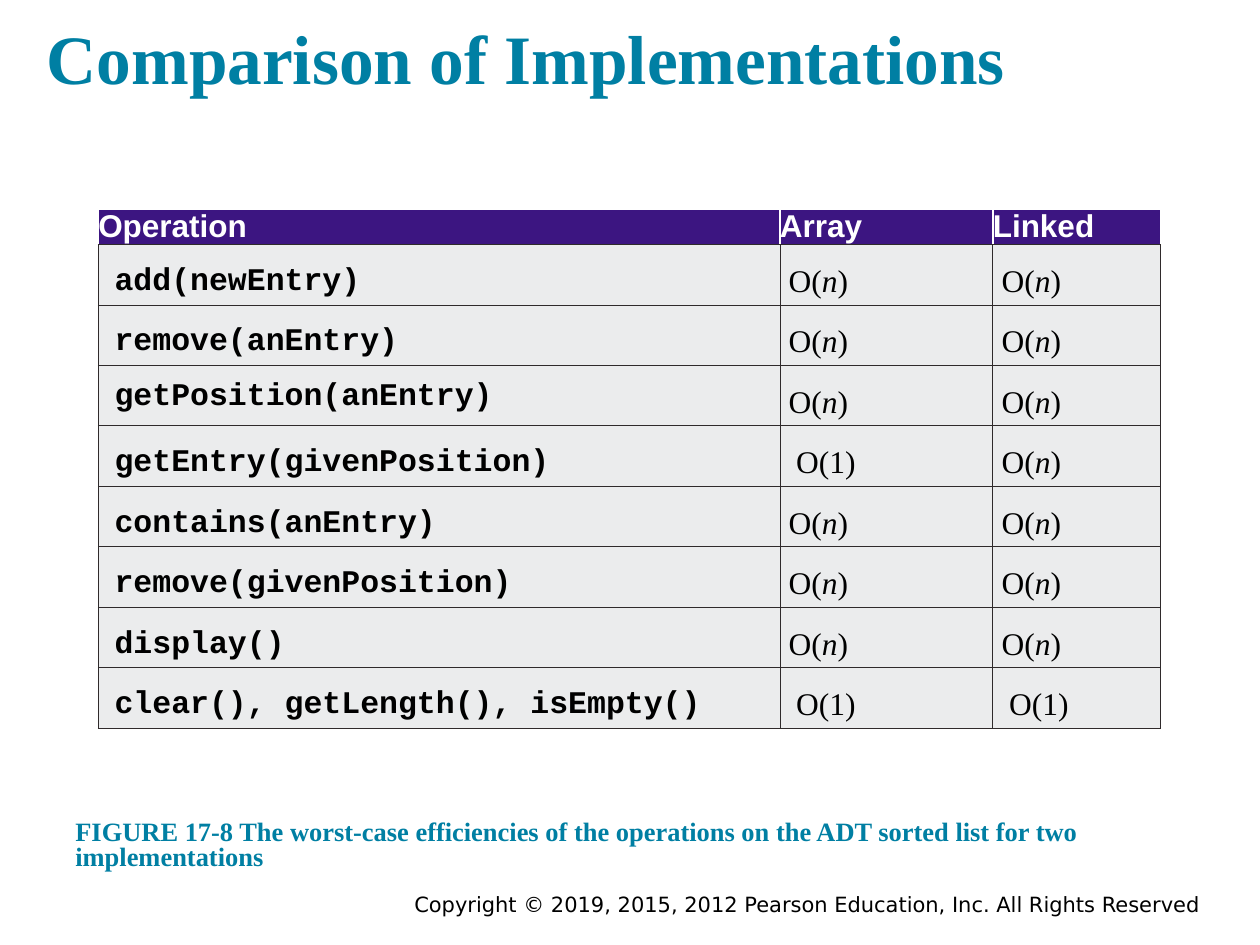
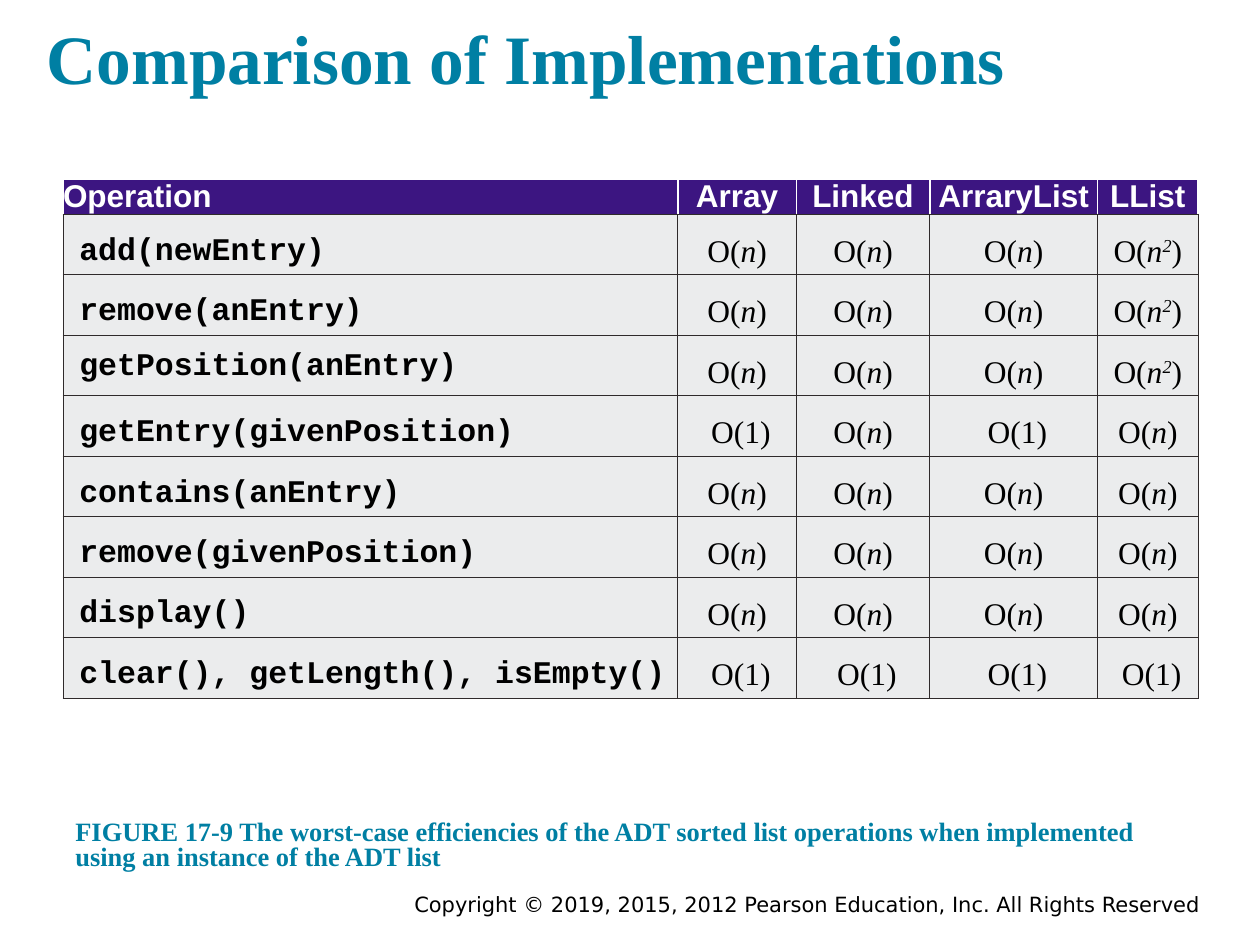
import pptx
import pptx.dml.color
import pptx.enum.text
import pptx.oxml
import pptx.oxml.ns
import pptx.util

Inches = pptx.util.Inches
Align = pptx.enum.text.PP_ALIGN
Anchor = pptx.enum.text.MSO_ANCHOR


class Theme:
    """Hold the colours and type styles that the slides share."""
    purple, grey, dark, white = "3C1581", "EBECED", "2F2A2B", "FFFFFF"
    title = dict(name="Times New Roman", size=39.6, bold=True, color="007FA3")
    note = dict(title, size=15.1)
    foot = dict(name="DejaVu Sans", size=12, bold=False, color="000000")
    head = dict(name="Arial", size=18, bold=True, color=white)
    code = dict(name="Courier New", size=18, bold=True, color="000000")
    cost = dict(name="Times New Roman", size=18, bold=False, color="000000")


TITLE = "Comparison of Implementations"
FOOT = "Copyright © 2019, 2015, 2012 Pearson Education, Inc. All Rights Reserved"
CALLS = ["add(newEntry)", "remove(anEntry)", "getPosition(anEntry)",
         "getEntry(givenPosition)", "contains(anEntry)",
         "remove(givenPosition)", "display()",
         "clear(), getLength(), isEmpty()"]
ARRAY = ["n", "n", "n", "1", "n", "n", "n", "1"]
LINKED = ["n"] * 7 + ["1"]
LLIST = ["n2"] * 3 + ["n"] * 4 + ["1"]
HEAD_ROW, BODY_ROW = 0.28, 0.48


def apply(item, values):
    """Set each attribute of an item from a dict."""
    for name, value in values.items():
        setattr(item, name, value)


def write(para, text, style, **extra):
    """Add a styled run to a paragraph and return it."""
    run = para.add_run()
    run.text = text
    values = dict(style, **extra)
    color = values.pop("color")
    values["size"] = pptx.util.Pt(values["size"])
    apply(run.font, values)
    run.font.color.rgb = pptx.dml.color.RGBColor.from_string(color)
    return run


def pads(left, top, right, base):
    """Return the four inner margins as a dict."""
    sides = zip(("left", "top", "right", "bottom"), (left, top, right, base))
    return {f"margin_{side}": Inches(size) for side, size in sides}


def place(shape, box):
    """Move a shape to a box given in inches."""
    apply(shape, dict(zip(("left", "top", "width", "height"), map(Inches, box))))


def fill_text(shape, text, style, pad, anchor, **layout):
    """Write one paragraph in a shape."""
    frame = shape.text_frame
    apply(frame, dict(pads(pad, pad, pad, pad), word_wrap=True,
                      vertical_anchor=anchor,
                      auto_size=pptx.enum.text.MSO_AUTO_SIZE.NONE))
    para = frame.paragraphs[0]
    apply(para, layout)
    write(para, text, style)


def add_title(slide, box):
    """Place and format the title."""
    place(slide.shapes.title, box)
    fill_text(slide.shapes.title, TITLE, Theme.title, 0.1, Anchor.BOTTOM,
              alignment=Align.LEFT)


def add_note(slide, box, text):
    """Place the figure caption."""
    shape = slide.shapes.add_textbox(*map(Inches, box))
    fill_text(shape, text, Theme.note, 0.1, Anchor.BOTTOM, line_spacing=0.8)


def add_foot(slide, box):
    """Place the copyright line."""
    shape = slide.shapes.add_textbox(*map(Inches, box))
    fill_text(shape, FOOT, Theme.foot, 0.05, Anchor.TOP, alignment=Align.RIGHT)


def rule(cell, lines):
    """Draw cell borders from side, colour and width in points."""
    props = cell._tc.get_or_add_tcPr()
    for side, color, width in lines:
        props.append(pptx.oxml.parse_xml(
            f'<a:ln{side} {pptx.oxml.ns.nsdecls("a")} '
            f'w="{pptx.util.Pt(width)}"><a:solidFill>'
            f'<a:srgbClr val="{color}"/></a:solidFill></a:ln{side}>'))


def paint(cell, color):
    """Fill a cell with one colour."""
    cell.fill.solid()
    cell.fill.fore_color.rgb = pptx.dml.color.RGBColor.from_string(color)


def indent(para):
    """Indent a paragraph from its left margin."""
    para._p.get_or_add_pPr().set("marL", str(Inches(0.06)))


def head_cell(cell, text, align, anchor):
    """Format one header cell."""
    rule(cell, [(side, Theme.white, 1) for side in "LRT"]
         + [("B", Theme.dark, 0.5)])
    paint(cell, Theme.purple)
    apply(cell, dict(pads(0, 0, 0, 0), vertical_anchor=anchor))
    para = cell.text_frame.paragraphs[0]
    para.alignment = align
    write(para, text, Theme.head)


def body_cell(cell, align, spacing):
    """Format one body cell and return its paragraph."""
    rule(cell, [(side, Theme.dark, 0.5) for side in "LRTB"])
    paint(cell, Theme.grey)
    apply(cell, dict(pads(0.07, 0.03, 0.07, 0), vertical_anchor=Anchor.MIDDLE))
    para = cell.text_frame.paragraphs[0]
    apply(para, dict(alignment=align, line_spacing=spacing))
    return para


def write_cost(para, cost):
    """Write a growth rate such as O(n) with its variable in italics."""
    if cost == "1":
        indent(para)
        write(para, "O(1)", Theme.cost)
        return
    write(para, "O(", Theme.cost)
    write(para, "n", Theme.cost, italic=True)
    if cost == "n2":
        power = write(para, "2", Theme.cost, italic=True)
        power._r.get_or_add_rPr().set("baseline", "32000")
    write(para, ")", Theme.cost)


def add_costs(slide, spot, widths, costs, align, anchor):
    """Place the table of operations and their costs."""
    size = sum(widths), HEAD_ROW + BODY_ROW * len(CALLS)
    table = slide.shapes.add_table(
        len(CALLS) + 1, len(widths), *map(Inches, (*spot, *size))).table
    apply(table, dict(first_row=False, horz_banding=False))
    for column, width in zip(table.columns, widths):
        column.width = Inches(width)
    for index, row in enumerate(table.rows):
        row.height = Inches(BODY_ROW if index else HEAD_ROW)
    head_cell(table.cell(0, 0), "Operation", Align.LEFT, Anchor.TOP)
    for row, call in enumerate(CALLS, 1):
        spacing = 1.0 if call.startswith("getPosition") else 1.3
        para = body_cell(table.cell(row, 0), Align.LEFT, spacing)
        indent(para)
        write(para, call, Theme.code)
    for col, (name, values) in enumerate(costs.items(), 1):
        head_cell(table.cell(0, col), name, align, anchor)
        for row, cost in enumerate(values, 1):
            write_cost(body_cell(table.cell(row, col), align, 1.3), cost)


def add_page(deck, note, **grid):
    """Add one comparison slide."""
    slide = deck.slides.add_slide(deck.slide_layouts[5])
    add_foot(slide, (1.75, 7.03, 7.83, 0.31))
    add_title(slide, (0.27, 0, 9.31, 0.88))
    add_note(slide, (0.5, 6.38, 9, 0.64), note)
    add_costs(slide, **grid)


def main():
    """Build and save the deck."""
    deck = pptx.Presentation()
    apply(deck, dict(slide_width=Inches(10), slide_height=Inches(7.5)))
    add_page(deck, "FIGURE 17-8 The worst-case efficiencies of the operations "
             "on the ADT sorted list for two implementations",
             spot=(0.78, 1.66), widths=(5.41, 1.69, 1.33),
             costs={"Array": ARRAY, "Linked": LINKED},
             align=Align.LEFT, anchor=Anchor.TOP)
    add_page(deck, "FIGURE 17-9 The worst-case efficiencies of the ADT sorted "
             "list operations when implemented using an instance of the ADT list",
             spot=(0.5, 1.42), widths=(4.88, 0.94, 1.06, 1.33, 0.8),
             costs={"Array": ARRAY, "Linked": LINKED, "ArraryList": ARRAY,
                    "LList": LLIST},
             align=Align.CENTER, anchor=Anchor.MIDDLE)
    deck.save("out.pptx")


if __name__ == "__main__":
    main()
